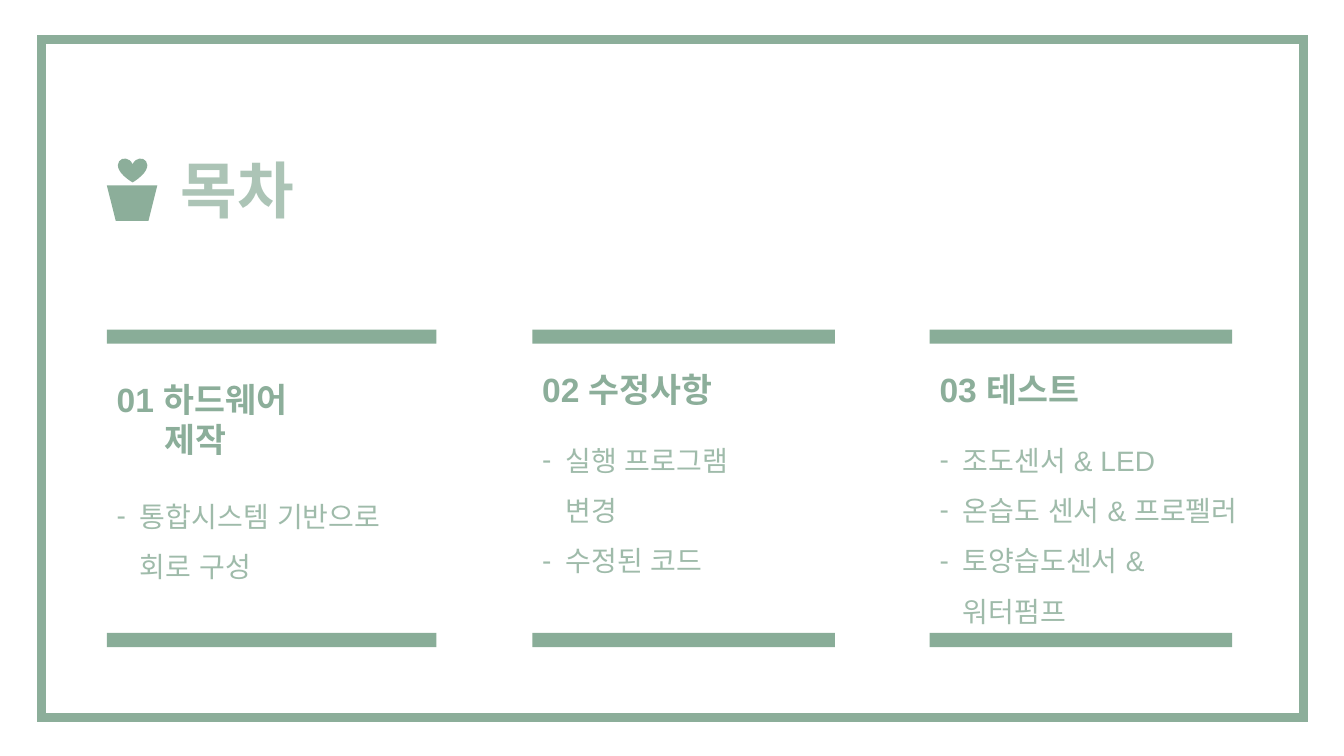
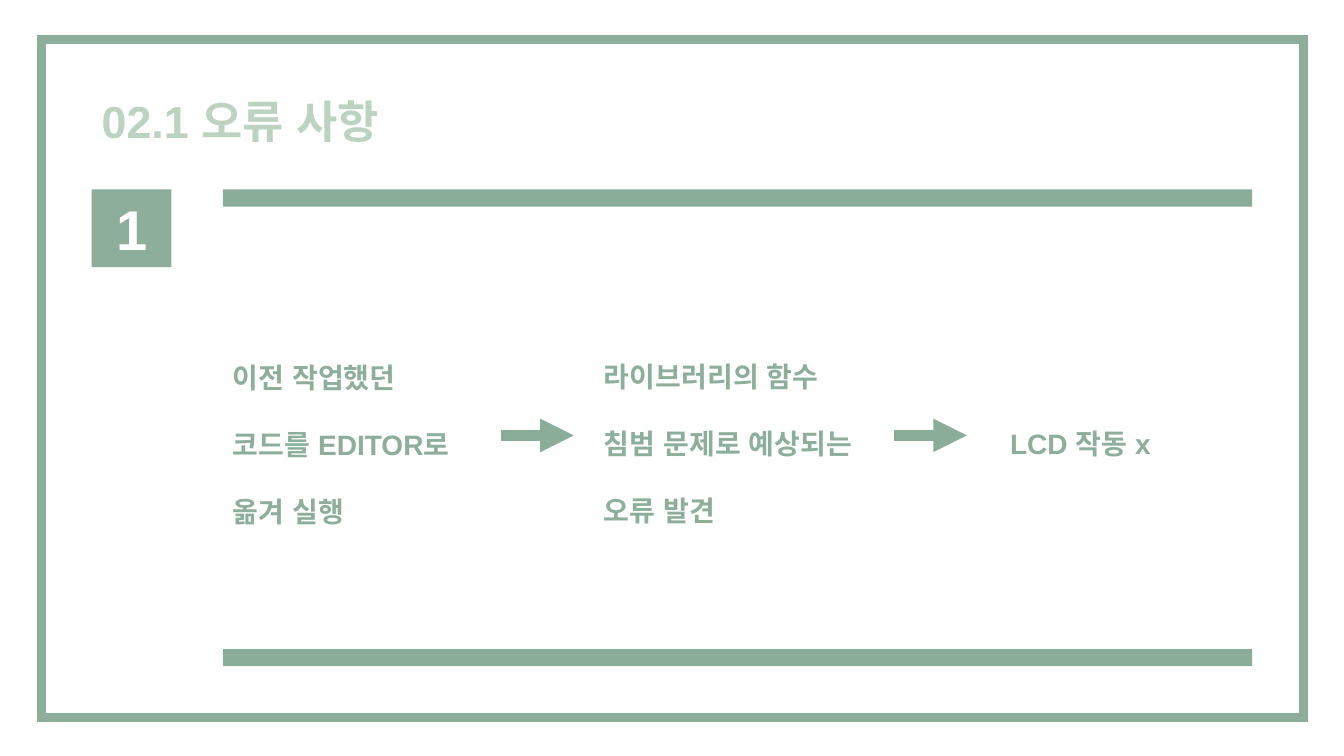
import pptx
import pptx.util
import pptx.dml.color
import pptx.enum.shapes
import pptx.enum.text
import pptx.oxml.ns
from lxml import etree

Inches = pptx.util.Inches
Pt = pptx.util.Pt
SHAPE = pptx.enum.shapes.MSO_SHAPE
ALIGN = pptx.enum.text.PP_ALIGN
FONT = "Arial"
COLORS = {
    "frame": "8CAE9A",
    "bar": "89AD98",
    "contents": "ACC4B6",
    "section": "BBD3C0",
    "item": "9FBBAA",
    "white": "FFFFFF",
}

CONTENTS_TITLE = "목차"
COLUMNS = [
    dict(x=1.06, w=3.27, head_y=3.71, list_y=4.74, head="01 하드웨어\v제작",
         items=["통합시스템 기반으로\v회로 구성"]),
    dict(x=5.28, w=3, head_y=3.61, list_y=4.18, head="02 수정사항",
         items=["실행 프로그램\v변경", "수정된 코드"]),
    dict(x=9.22, w=3, head_y=3.61, list_y=4.18, head="03 테스트",
         items=["조도센서 & LED", "온습도 센서 & 프로펠러", "토양습도센서 &\v워터펌프"]),
]
LIST_W = 3.4
LINE_H = 0.5

ERROR_TITLE = "02.1 오류 사항"
ERROR_NUMBER = "1"
STEPS = [
    (2.21, 3.19, 2.63, 2.12, "이전 작업했던\v코드를 EDITOR로\v옮겨 실행"),
    (5.89, 3.18, 2.85, 2.12, "라이브러리의 함수\v침범 문제로 예상되는\v오류 발견"),
    (9.92, 3.85, 2.63, 0.77, "LCD 작동 x"),
]
ARROW_Y, ARROW_W, ARROW_GAP = 4.32, 0.72, 0.13


def rgb(name):
    return pptx.dml.color.RGBColor.from_string(COLORS[name])


def sub(parent, tag, **attrs):
    return etree.SubElement(parent, pptx.oxml.ns.qn(tag), attrs)


def write(tf, text, size=20, color="frame", bold=True, align=ALIGN.LEFT,
          spacing=1, hang=0, bullet=None):
    tf.word_wrap = True
    lines = [text] if isinstance(text, str) else text
    for i, line in enumerate(lines):
        p = tf.paragraphs[0] if i == 0 else tf.add_paragraph()
        p.alignment = align
        p.line_spacing = spacing
        pPr = p._p.get_or_add_pPr()
        if hang:
            pPr.set("marL", str(Inches(hang)))
            pPr.set("indent", str(-Inches(hang)))
        if bullet:
            sub(pPr, "a:buFont", typeface=FONT)
            sub(pPr, "a:buChar", char=bullet)
        for j, part in enumerate(line.split("\v")):
            if j:
                p.add_line_break()
            r = p.add_run()
            r.text = part
            r.font.name = FONT
            r.font.size = Pt(size)
            r.font.bold = bold
            r.font.color.rgb = rgb(color)
            sub(r._r.get_or_add_rPr(), "a:ea", typeface=FONT)


def add_text(s, x, y, w, h, text, **fmt):
    tb = s.shapes.add_textbox(Inches(x), Inches(y), Inches(w), Inches(h))
    write(tb.text_frame, text, **fmt)


def add_block(s, kind, x, y, w, h, color="frame"):
    sp = s.shapes.add_shape(kind, Inches(x), Inches(y), Inches(w), Inches(h))
    sp.shadow.inherit = False
    sp.fill.solid()
    sp.fill.fore_color.rgb = rgb(color)
    sp.line.fill.background()
    return sp


def add_bars(s, x, w, h, tops):
    for y in tops:
        add_block(s, SHAPE.RECTANGLE, x, y, w, h, "bar")


def add_arrow(s, x, y, w):
    c = s.shapes.add_connector(pptx.enum.shapes.MSO_CONNECTOR.STRAIGHT,
                               Inches(x), Inches(y), Inches(x + w), Inches(y))
    c.line.color.rgb = rgb("bar")
    c.line.width = Pt(8)
    sub(c.line._get_or_add_ln(), "a:tailEnd", type="triangle")
    sub(c._element.spPr, "a:effectLst")


def new_slide(prs):
    s = prs.slides.add_slide(prs.slide_layouts[6])
    frame = add_block(s, SHAPE.RECTANGLE, 0.41, 0.39, 12.52, 6.73)
    frame.fill.background()
    frame.line.color.rgb = rgb("frame")
    frame.line.width = Pt(6.5)
    sub(frame.line._get_or_add_ln(), "a:miter", lim="800000")
    return s


def add_contents(prs):
    s = new_slide(prs)
    add_text(s, 1.69, 1.46, 2.82, 0.84, CONTENTS_TITLE, size=44, color="contents")
    pot = add_block(s, SHAPE.TRAPEZOID, 1.06, 1.84, 0.5, 0.35)
    pot.rotation = 180
    pot.adjustments[0] = 0.25
    add_block(s, SHAPE.HEART, 1.17, 1.57, 0.29, 0.24)
    for col in COLUMNS:
        x = col["x"]
        add_bars(s, x, col["w"], 0.14, (3.27, 6.28))
        add_text(s, x, col["head_y"], LIST_W, col["list_y"] - col["head_y"],
                 col["head"], size=24, hang=0.47)
        lines = sum(len(item.split("\v")) for item in col["items"])
        add_text(s, x, col["list_y"], LIST_W, 0.1 + lines * LINE_H, col["items"],
                 color="item", bold=False, spacing=1.5, hang=0.23, bullet="-")


def add_errors(prs):
    s = new_slide(prs)
    add_text(s, 0.91, 0.88, 6.37, 0.64, ERROR_TITLE, size=32, color="section")
    badge = add_block(s, SHAPE.RECTANGLE, 0.91, 1.88, 0.79, 0.77)
    write(badge.text_frame, ERROR_NUMBER, size=40, color="white", align=ALIGN.CENTER)
    add_bars(s, 2.21, 10.21, 0.17, (1.88, 6.44))
    for x, y, w, h, text in STEPS:
        add_text(s, x, y, w, h, text, spacing=2)
    for x, y, w, h, text in STEPS[:-1]:
        add_arrow(s, x + w + ARROW_GAP, ARROW_Y, ARROW_W)


def main():
    prs = pptx.Presentation()
    prs.slide_width = Inches(13.33)
    prs.slide_height = Inches(7.5)
    add_contents(prs)
    add_errors(prs)
    prs.save("out.pptx")


if __name__ == "__main__":
    main()
